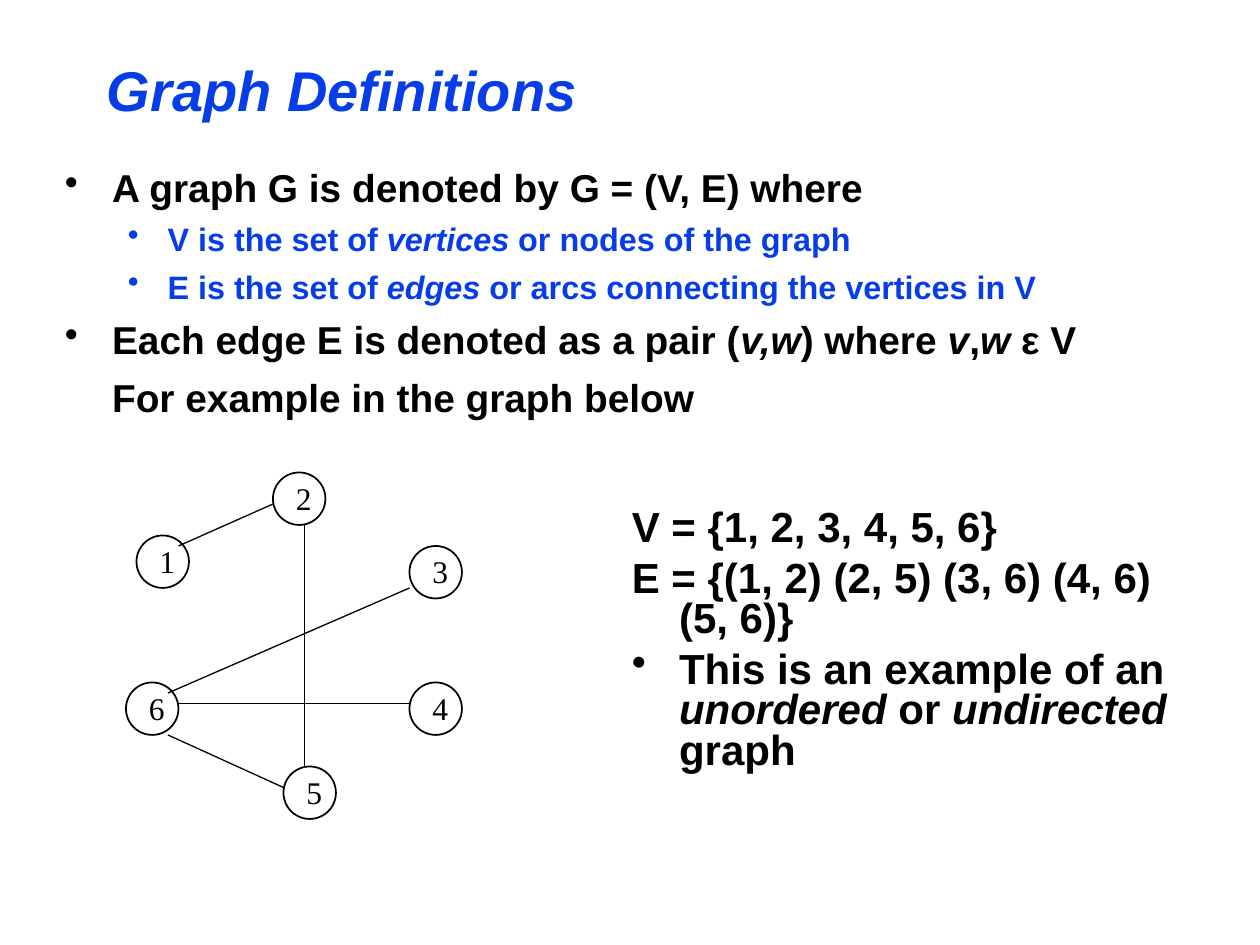
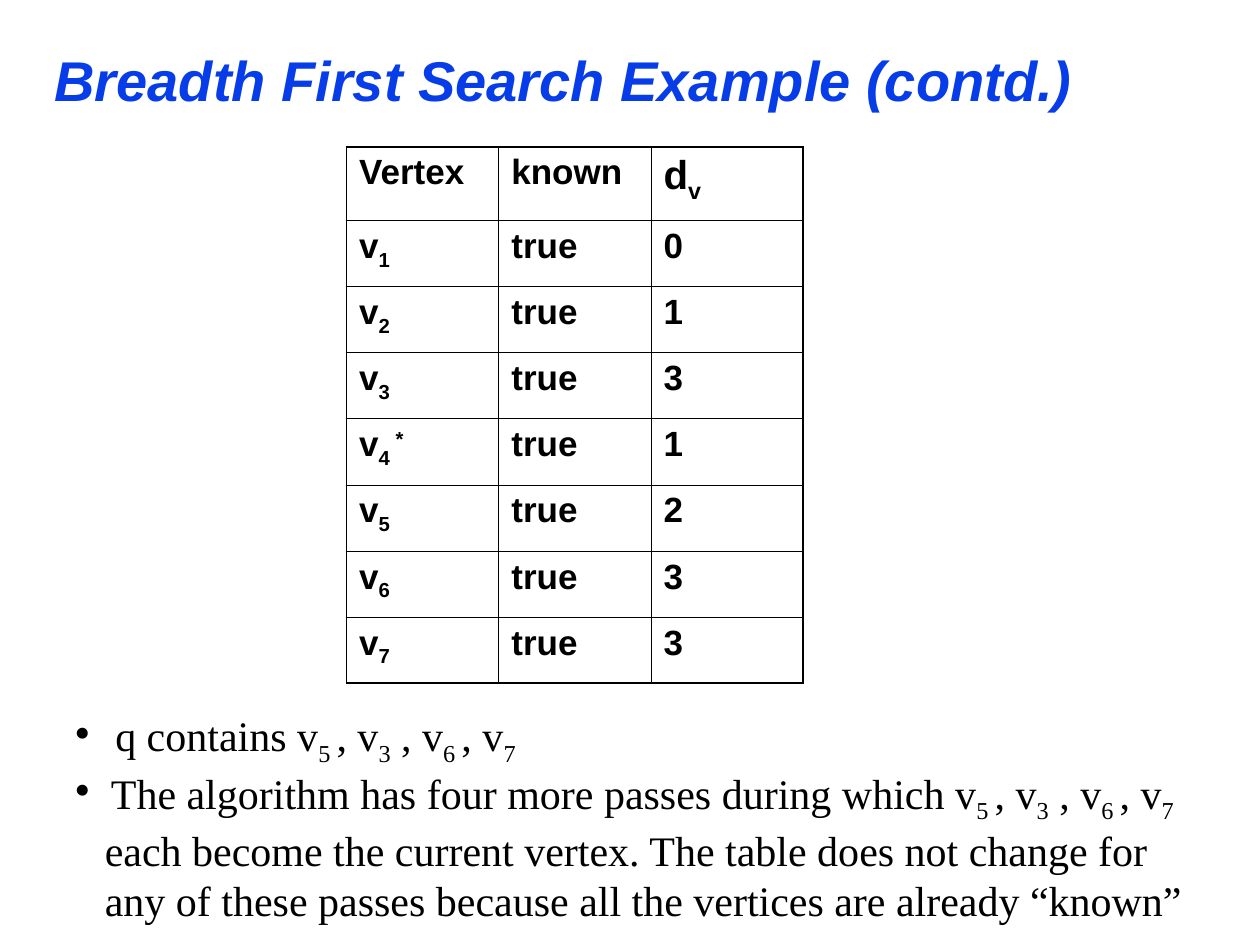
from lxml import etree
from pptx import Presentation
from pptx.dml.color import RGBColor
from pptx.enum import shapes, text
from pptx.oxml import ns
from pptx.util import Emu, Pt

PX = 7620
BLUE = RGBColor(0x06, 0x3D, 0xE8)
BLACK = RGBColor(0x00, 0x00, 0x00)
SANS, SERIF = "Arial", "Times New Roman"
OUTER_LINE, INNER_LINE = 1.08, 0.45
NODE = 50

VERTICES = {1: (10, 60), 2: (140, 0), 3: (270, 70),
            4: (270, 200), 5: (150, 280), 6: (0, 200)}
EDGES = [(50, 70, 140, 30), (170, 50, 170, 280), (50, 220, 270, 220),
         (40, 250, 150, 300), (40, 210, 270, 110)]
DISTANCES = [0, 1, 3, 1, 2, 3, 3]
CURRENT_VERTEX = 4
QUEUE = "v|5 |, v|3| , v|6 |, v|7"


def px(*lengths):
    """Turn pixel lengths into EMU."""
    return [Emu(length * PX) for length in lengths]


def add_text(frame, content, size, font=SANS, color=BLACK, bold=False, italic=False,
             marked="italic", margin=0, indent=0, bullet=False, before=0, spacing=None):
    """Add a paragraph; chunks between bars are italic or subscript, with ^ superscript."""
    paragraph = frame.paragraphs[0]
    if paragraph.runs:
        paragraph = frame.add_paragraph()
    paragraph.space_before = Pt(before)
    if spacing:
        paragraph.line_spacing = spacing
    properties = paragraph._p.get_or_add_pPr()
    properties.set("marL", str(margin * PX))
    properties.set("indent", str(indent * PX))
    if bullet:
        etree.SubElement(properties, ns.qn("a:buChar")).set("char", "•")
    for index, chunk in enumerate(content.split("|")):
        if not chunk:
            continue
        is_marked = index % 2 == 1
        run = paragraph.add_run()
        run.text = chunk.removeprefix("^")
        run.font.size, run.font.name = Pt(size), font
        run.font.color.rgb = color
        run.font.bold = bold
        run.font.italic = italic or (is_marked and marked == "italic")
        if is_marked and marked == "subscript":
            baseline = "30000" if chunk.startswith("^") else "-25000"
            run.font._element.set("baseline", baseline)


def add_frame(parent, box, wrap=True):
    """Add a text box and return its text frame."""
    frame = parent.add_textbox(*px(*box)).text_frame
    frame.word_wrap = wrap
    return frame


def add_title(slide, box, content):
    """Add the slide title."""
    frame = add_frame(slide.shapes, box)
    frame.vertical_anchor = text.MSO_ANCHOR.MIDDLE
    add_text(frame, content, 32, color=BLUE, bold=True, italic=True)


def add_definitions(slide, box):
    """Add the two-level list of definitions."""
    frame = add_frame(slide.shapes, box)
    main = dict(size=22.2, bold=True, margin=45, before=6)
    point = dict(main, indent=-45, bullet=True)
    detail = dict(size=18.5, color=BLUE, bold=True, margin=98, indent=-38,
                  bullet=True, before=5)
    add_text(frame, "A graph G is denoted by G = (V, E) where", **point)
    add_text(frame, "V is the set of |vertices| or nodes of the graph", **detail)
    add_text(frame, "E is the set of |edges| or arcs connecting the vertices in V", **detail)
    add_text(frame, "Each edge E is denoted as a pair (|v,w|) where |v|,|w |ε V", **point)
    add_text(frame, "For example in the graph below", **main)


def add_graph(slide, left, top):
    """Draw the numbered vertices and the edges as one group."""
    group = slide.shapes.add_group_shape().shapes
    for number, (x, y) in VERTICES.items():
        x, y = left + x, top + y
        circle = group.add_shape(shapes.MSO_SHAPE.OVAL, *px(x, y, NODE, NODE))
        circle.shadow.inherit = False
        circle.fill.background()
        circle.line.color.rgb = BLACK
        circle.line.width = Pt(1)
        label = add_frame(group, (x + 10, y, 40, 48), wrap=False)
        add_text(label, str(number), 18, font=SERIF)
    for x1, y1, x2, y2 in EDGES:
        edge = group.add_connector(shapes.MSO_CONNECTOR.STRAIGHT,
                                   *px(left + x1, top + y1, left + x2, top + y2))
        edge.line.color.rgb = BLACK
        edge.line.width = Pt(0.75)
        etree.SubElement(edge._element.spPr, ns.qn("a:effectLst"))


def add_sets(slide, box):
    """Add the vertex and edge sets of the graph."""
    frame = add_frame(slide.shapes, box)
    style = dict(size=24, bold=True, margin=45, indent=-45, before=6, spacing=0.8)
    add_text(frame, "V = {1, 2, 3, 4, 5, 6}", **style)
    add_text(frame, "E = {(1, 2) (2, 5) (3, 6) (4, 6) (5, 6)}", **style)
    add_text(frame, "This is an example of an |unordered| or |undirected |graph",
             bullet=True, **style)


def set_borders(cell, widths):
    """Give a cell black borders of the widths listed by side."""
    properties = cell._tc.get_or_add_tcPr()
    for side, width in widths.items():
        line = etree.SubElement(properties, ns.qn(f"a:ln{side}"), w=str(Pt(width)))
        fill = etree.SubElement(line, ns.qn("a:solidFill"))
        etree.SubElement(fill, ns.qn("a:srgbClr"), val=str(BLACK))


def add_vertex_table(slide, left, top, column_width, header_height, row_height):
    """Add the table of vertices and their distances."""
    rows = [("Vertex", "known", "d|v")]
    for number, distance in enumerate(DISTANCES, 1):
        star = " ||^*" if number == CURRENT_VERTEX else ""
        rows.append((f"v|{number}{star}", "true", str(distance)))
    last_row, last_column = len(rows) - 1, len(rows[0]) - 1
    box = px(left, top, column_width * len(rows[0]), header_height + row_height * last_row)
    table = slide.shapes.add_table(len(rows), len(rows[0]), *box).table
    table.first_row = table.horz_banding = False
    for r, row in enumerate(rows):
        table.rows[r].height, = px(row_height if r else header_height)
        for c, content in enumerate(row):
            cell = table.cell(r, c)
            edges = {"L": c == 0, "R": c == last_column, "T": r == 0, "B": r == last_row}
            set_borders(cell, {side: OUTER_LINE if outer else INNER_LINE
                               for side, outer in edges.items()})
            cell.fill.background()
            size, before = (23, 5.8) if content == "d|v" else (20, 5)
            add_text(cell.text_frame, content, size, bold=True, marked="subscript",
                     before=before)


def add_queue_notes(slide, box):
    """Add the notes on the queue and the remaining passes."""
    frame = add_frame(slide.shapes, box)
    style = dict(size=24, font=SERIF, marked="subscript", margin=28, indent=-28, bullet=True)
    add_text(frame, f" q contains {QUEUE}", **style)
    add_text(frame, f"| |The algorithm has four more passes during which {QUEUE} |"
             "each become the current vertex. The table does not change for any of these "
             "passes because all the vertices are already “known”", **style)


def build_definitions_slide(slide):
    """Build the slide that defines graphs."""
    add_title(slide, (90, 40, 1020, 90), "Graph Definitions")
    add_definitions(slide, (50, 150, 1070, 313))
    add_graph(slide, 120, 450)
    add_sets(slide, (590, 480, 550, 270))


def build_search_slide(slide):
    """Build the slide with the search table."""
    add_vertex_table(slide, 330, 140, 145, 70, 63)
    add_title(slide, (40, 30, 1160, 90), "Breadth First Search Example (contd.)")
    add_queue_notes(slide, (60, 670, 1110, 217))


def main():
    """Build and save the presentation."""
    presentation = Presentation()
    presentation.slide_width, presentation.slide_height = px(1200, 900)
    for build in (build_definitions_slide, build_search_slide):
        build(presentation.slides.add_slide(presentation.slide_layouts[6]))
    presentation.save("out.pptx")


if __name__ == "__main__":
    main()
